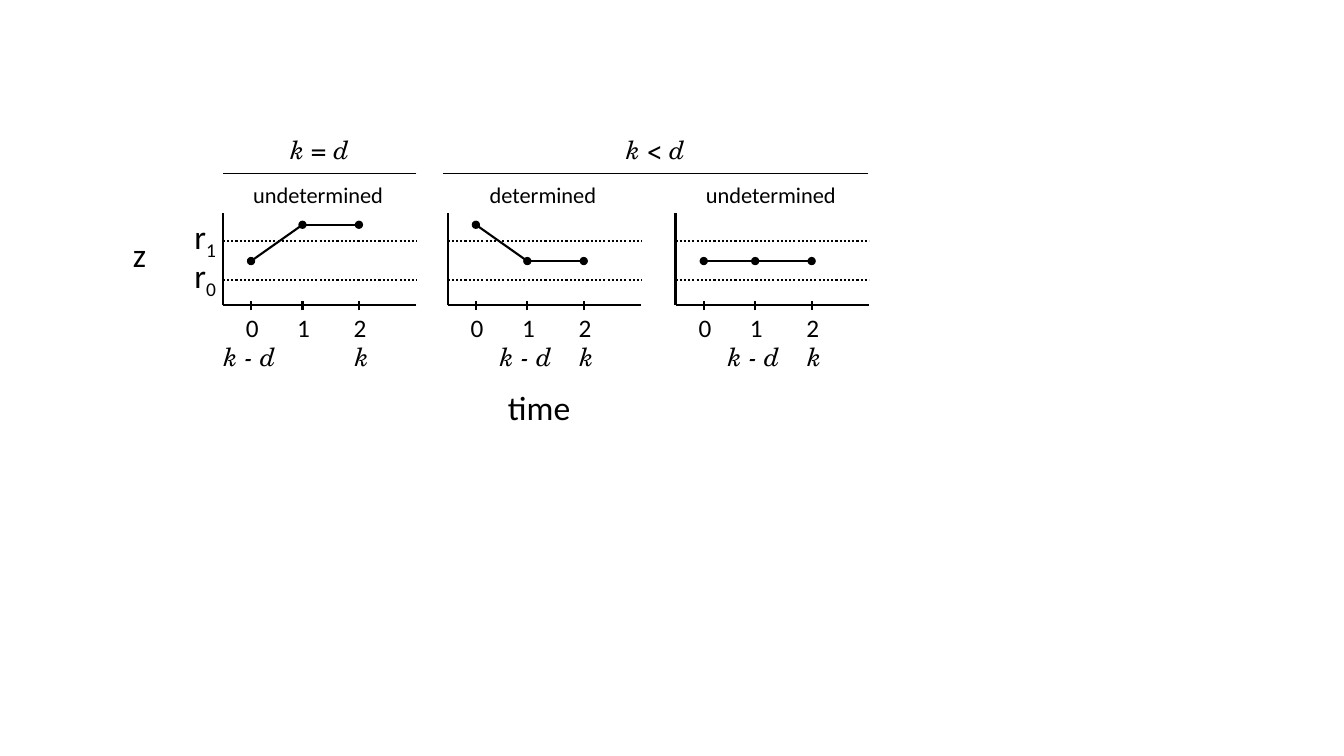
import pptx
import pptx.util
import pptx.dml.color
import pptx.enum.dml
import pptx.enum.shapes
import pptx.enum.text
import pptx.oxml.ns
from dataclasses import dataclass
from lxml import etree
from pptx.util import Inches


@dataclass(frozen=True)
class Theme:
    """Colours, fonts and sizes of the slide."""
    ink: str = "000000"
    sans: str = "Calibri"
    serif: str = "TeX Gyre Schola"
    small: int = 16
    mid: int = 18
    large: int = 24
    rule: float = 1
    stroke: float = 1.5


theme = Theme()
TICKS = (0.28, 0.79, 1.35)
WIDE, HIGH = 1.92, 0.92
UPPER, LOWER = 0.28, 0.67
LEFT = pptx.enum.text.PP_ALIGN.LEFT
CENTER = pptx.enum.text.PP_ALIGN.CENTER


def text(slide, words, box, size=theme.mid, math=False, sub="", align=LEFT):
    """Write words in a box, with an optional subscript."""
    shape = slide.shapes.add_textbox(*map(Inches, box))
    frame = shape.text_frame
    frame.word_wrap = False
    frame.auto_size = pptx.enum.text.MSO_AUTO_SIZE.SHAPE_TO_FIT_TEXT
    para = frame.paragraphs[0]
    para.alignment = align
    for part, base in ((words, ""), (sub, "-25000")):
        if not part:
            continue
        run = para.add_run()
        run.text = part
        font = run.font
        font.name = theme.serif if math else theme.sans
        font.size = pptx.util.Pt(size)
        font.italic = math
        font.color.rgb = pptx.dml.color.RGBColor.from_string(theme.ink)
        if base:
            run._r.get_or_add_rPr().set("baseline", base)


def line(slide, start, end, width=theme.stroke, dots=False, ends=()):
    """Draw a straight line, dotted or with round ends if asked."""
    wire = slide.shapes.add_connector(
        pptx.enum.shapes.MSO_CONNECTOR.STRAIGHT,
        *map(Inches, (*start, *end)))
    wire.line.color.rgb = pptx.dml.color.RGBColor.from_string(theme.ink)
    wire.line.width = pptx.util.Pt(width)
    if dots:
        wire.line.dash_style = pptx.enum.dml.MSO_LINE.ROUND_DOT
    props = wire._element.spPr
    stroke = props.get_or_add_ln()
    for end in ends:
        etree.SubElement(stroke, pptx.oxml.ns.qn(f"a:{end}"), type="oval")
    etree.SubElement(props, pptx.oxml.ns.qn("a:effectLst"))


def panel(slide, x, y, title, levels, lag):
    """Draw one small plot with its title, ticks and time labels."""
    base = y + HIGH
    for level in (UPPER, LOWER):
        line(slide, (x, y + level), (x + WIDE, y + level), dots=True)
    line(slide, (x, base), (x, y))
    line(slide, (x + WIDE, base), (x, base))
    dots = [(x + tick, y + level) for tick, level in zip(TICKS, levels)]
    line(slide, dots[0], dots[1], ends=("headEnd",))
    line(slide, dots[1], dots[2], ends=("headEnd", "tailEnd"))
    for step, tick in enumerate(TICKS):
        line(slide, (x + tick, base + 0.05), (x + tick, base - 0.04))
        text(slide, str(step), (x + tick - 0.15, base + 0.02, 0.33, 0.4))
    text(slide, "k - d", (x + TICKS[lag] - 0.37, base + 0.31, 0.73, 0.4), math=True)
    text(slide, "k", (x + TICKS[2] - 0.14, base + 0.31, 0.32, 0.4), math=True)
    text(slide, title, (x + 0.19, y - 0.36, 1.51, 0.37),
         size=theme.small, align=CENTER)


def header(slide, x, y, width, words, shift=0):
    """Set a case name above a rule that spans its plots."""
    line(slide, (x + width, y), (x, y), width=theme.rule)
    text(slide, words, (x + width / 2 - 0.41 + shift, y - 0.44, 0.82, 0.4),
         math=True, align=CENTER)


def axes(slide, x, y):
    """Name both axes and the two thresholds."""
    for sub, level in (("1", UPPER), ("0", LOWER)):
        text(slide, "r", (x - 0.38, y + level - 0.3, 0.43, 0.5),
             size=theme.large, sub=sub)
    text(slide, "z", (x - 0.99, y + 0.16, 0.34, 0.5), size=theme.large)
    text(slide, "time", (x + 2.73, y + 1.68, 0.83, 0.5), size=theme.large)


def main():
    """Build the slide and save it."""
    deck = pptx.Presentation()
    deck.slide_width = Inches(13.33)
    deck.slide_height = Inches(7.5)
    slide = deck.slides.add_slide(deck.slide_layouts[6])
    x, y = 2.21, 2.11
    high, low = 0.12, 0.48
    plots = (
        (x, "undetermined", (low, high, high), 0),
        (4.44, "determined", (high, low, low), 1),
        (6.7, "undetermined", (low, low, low), 1),
    )
    for left, title, levels, lag in plots:
        panel(slide, left, y, title, levels, lag)
    header(slide, x, 1.72, WIDE, "k = d")
    header(slide, 4.39, 1.72, 4.22, "k < d")
    axes(slide, x, y)
    deck.save("out.pptx")


if __name__ == "__main__":
    main()
